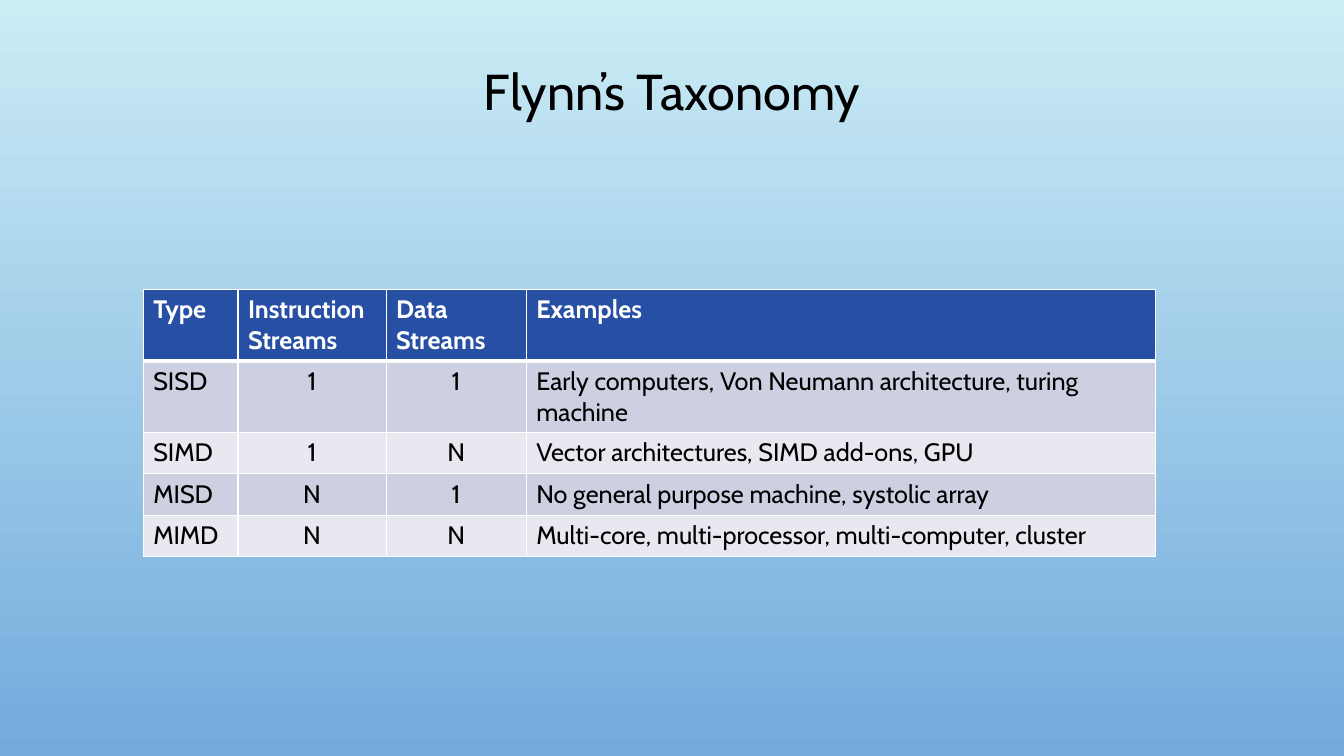
from lxml import etree
from pptx import Presentation
from pptx.dml.color import RGBColor
from pptx.enum.text import MSO_ANCHOR, PP_ALIGN
from pptx.oxml.ns import qn
from pptx.util import Inches, Pt

TITLE = "Flynn’s Taxonomy"
TAXONOMY = [
    ("Type", "Instruction Streams", "Data Streams", "Examples"),
    ("SISD", "1", "1", "Early computers, Von Neumann architecture, turing machine"),
    ("SIMD", "1", "N", "Vector architectures, SIMD add-ons, GPU"),
    ("MISD", "N", "1", "No general purpose machine, systolic array"),
    ("MIMD", "N", "N", "Multi-core, multi-processor, multi-computer, cluster"),
]
STREAM_COLUMNS = (1, 2)

COLUMN_WIDTHS = (0.94, 1.47, 1.39, 6.24)
ROW_HEIGHT = 0.41
TABLE_LEFT, TABLE_TOP = 1.42, 2.87
THIN, THICK = 1, 3

FONT = "Cabin"
SKY_TOP = RGBColor(0xCB, 0xEC, 0xF5)
SKY_BOTTOM = RGBColor(0x73, 0xAB, 0xDD)
HEADER_BLUE = RGBColor(0x27, 0x4F, 0xA4)
BANDS = (RGBColor(0xE8, 0xE9, 0xF0), RGBColor(0xCD, 0xD0, 0xE0))
WHITE = RGBColor(0xFF, 0xFF, 0xFF)
BLACK = RGBColor(0, 0, 0)
LEFT, CENTER = PP_ALIGN.LEFT, PP_ALIGN.CENTER
MIDDLE = MSO_ANCHOR.MIDDLE


def write(frame, text, size, color, align, bold=False):
    paragraph = frame.paragraphs[0]
    paragraph.alignment = align
    run = paragraph.add_run()
    run.text = text
    run.font.name = FONT
    run.font.size = Pt(size)
    run.font.bold = bold
    run.font.color.rgb = color
    return paragraph


def add_borders(cell, top, bottom):
    """Draw white cell borders; top and bottom are widths in points."""
    properties = cell._tc.get_or_add_tcPr()
    widths = (("a:lnL", THIN), ("a:lnR", THIN), ("a:lnT", top), ("a:lnB", bottom))
    for position, (side, width) in enumerate(widths):
        line = etree.Element(qn(side), w=str(Pt(width)))
        fill = etree.SubElement(line, qn("a:solidFill"))
        etree.SubElement(fill, qn("a:srgbClr"), val=str(WHITE))
        properties.insert(position, line)


def paint_background(slide):
    fill = slide.background.fill
    fill.gradient()
    fill.gradient_angle = 270
    for stop, position, color in zip(fill.gradient_stops, (0, 1), (SKY_TOP, SKY_BOTTOM)):
        stop.position = position
        stop.color.rgb = color


def add_title(slide):
    title = slide.shapes.title
    title.left, title.top = Inches(1), Inches(0.32)
    title.width, title.height = Inches(11.33), Inches(1.23)
    title.text_frame.vertical_anchor = MIDDLE
    write(title.text_frame, TITLE, 36, BLACK, CENTER).line_spacing = 0.9


def add_taxonomy(slide):
    table = slide.shapes.add_table(
        len(TAXONOMY), len(COLUMN_WIDTHS), Inches(TABLE_LEFT), Inches(TABLE_TOP),
        Inches(sum(COLUMN_WIDTHS)), Inches(ROW_HEIGHT * len(TAXONOMY))).table
    for column, width in zip(table.columns, COLUMN_WIDTHS):
        column.width = Inches(width)
    for r, entries in enumerate(TAXONOMY):
        table.rows[r].height = Inches(ROW_HEIGHT)
        header = r == 0
        for c, entry in enumerate(entries):
            cell = table.cell(r, c)
            cell.fill.solid()
            cell.fill.fore_color.rgb = HEADER_BLUE if header else BANDS[r % 2]
            add_borders(cell, THICK if r == 1 else THIN, THICK if header else THIN)
            centered = not header and c in STREAM_COLUMNS
            write(cell.text_frame, entry, 18, WHITE if header else BLACK,
                  CENTER if centered else LEFT, bold=header)


def main():
    deck = Presentation()
    deck.slide_width, deck.slide_height = Inches(13.33), Inches(7.5)
    slide = deck.slides.add_slide(deck.slide_layouts[5])
    paint_background(slide)
    add_title(slide)
    add_taxonomy(slide)
    deck.save("out.pptx")


if __name__ == "__main__":
    main()
